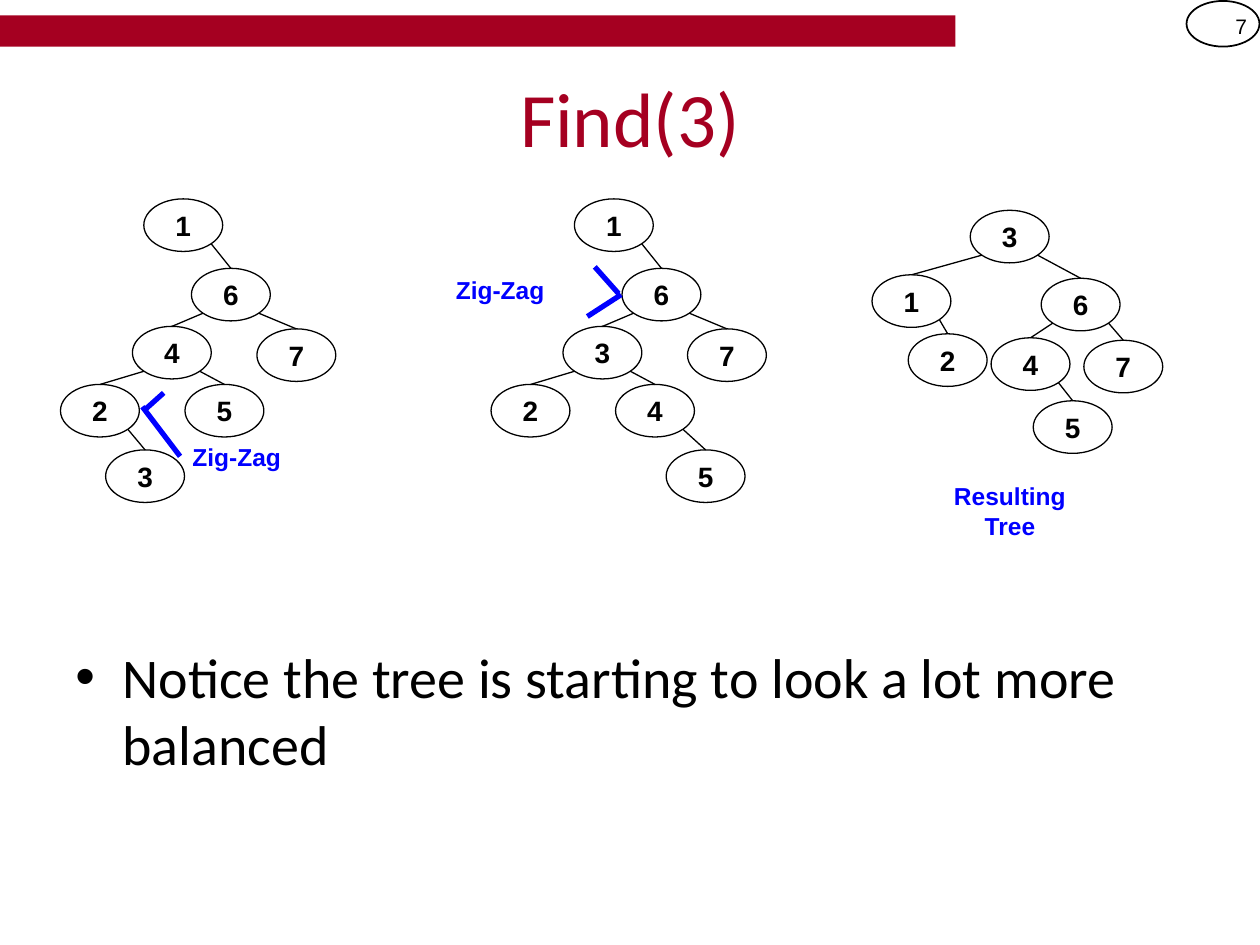
from dataclasses import dataclass
from math import sqrt

from lxml.etree import SubElement
from pptx import Presentation
from pptx.dml.color import RGBColor
from pptx.enum.shapes import MSO_CONNECTOR as Connector, MSO_SHAPE as Shape
from pptx.enum.text import MSO_ANCHOR as Anchor, PP_ALIGN as Align
from pptx.oxml.ns import qn
from pptx.util import Cm, Pt


@dataclass(frozen=True)
class Theme:
    """Colours, fonts and sizes in points."""
    red: RGBColor = RGBColor(0xA5, 0x00, 0x21)
    blue: RGBColor = RGBColor(0x00, 0x00, 0xFF)
    black: RGBColor = RGBColor(0x00, 0x00, 0x00)
    heading_font: str = "Calibri"
    diagram_font: str = "Arial"
    title: float = 44
    body: float = 32
    node: float = 16
    label: float = 14
    number: float = 12
    thin: float = 0.75
    outline: float = 1
    thick: float = 3


THEME = Theme()
NODE_WIDTH, NODE_HEIGHT = 1.59, 1.06

# Each tree: left offset in cm, node positions, and parent-child pairs.
TREES = [
    (0, {"1": (2.9, 4.01), "6": (3.86, 5.41), "4": (2.67, 6.58),
         "7": (5.18, 6.63), "2": (1.22, 7.75), "5": (3.73, 7.75),
         "3": (2.13, 9.07)},
     ["16", "64", "67", "42", "45", "23"]),
    (8.68, {"1": (2.9, 4.01), "6": (3.86, 5.41), "3": (2.67, 6.58),
            "7": (5.18, 6.63), "2": (1.22, 7.75), "4": (3.73, 7.75),
            "5": (4.75, 9.07)},
     ["16", "63", "67", "32", "34", "45"]),
    (17.58, {"3": (1.98, 4.24), "1": (0, 5.54), "6": (3.41, 5.61),
             "2": (0.73, 6.73), "4": (2.4, 6.81), "7": (4.27, 6.86),
             "5": (3.25, 8.08)},
     ["31", "36", "12", "64", "67", "45"]),
]

# Points of the zig-zag strokes in cm.
ZIG_ZAGS = [
    ((2.87, 8.2), (3.63, 9.2)), ((3.3, 7.92), (2.92, 8.26)),
    ((12.52, 5.94), (11.84, 6.38)), ((11.99, 5.38), (12.47, 5.92)),
]

LABELS = [
    ("Zig-Zag", (3.63, 8.79, 4.29, 0.86), Align.LEFT),
    ("Zig-Zag", (8.94, 5.41, 2.9, 0.86), Align.LEFT),
    ("Resulting Tree", (18.8, 9.58, 3.12, 1.45), Align.CENTER),
]


def set_attributes(target, values):
    """Set every named value on the target object."""
    for name, value in values.items():
        setattr(target, name, value)


def write_text(shape, text, font, align=Align.LEFT, anchor=Anchor.TOP, **frame):
    """Put one formatted paragraph in a shape and return the paragraph."""
    set_attributes(shape.text_frame,
                   {"word_wrap": True, "vertical_anchor": anchor, **frame})
    paragraph = shape.text_frame.paragraphs[0]
    paragraph.alignment = align
    run = paragraph.add_run()
    run.text = text
    color = font.pop("color")
    set_attributes(run.font, font)
    run.font.color.rgb = color
    return paragraph


def font_format(name, size, color=THEME.black, bold=False):
    """Return the format values of a font."""
    return {"name": name, "size": Pt(size), "bold": bold, "color": color}


def add_text(slide, box, text, font, **layout):
    """Add a text box with one paragraph."""
    shape = slide.shapes.add_textbox(*map(Cm, box))
    return write_text(shape, text, font, **layout)


def add_shape(slide, kind, box, fill=None, line_width=None):
    """Add a flat preset shape with an optional fill and black outline."""
    shape = slide.shapes.add_shape(kind, *map(Cm, box))
    shape.shadow.inherit = False
    if fill is None:
        shape.fill.background()
    else:
        shape.fill.solid()
        shape.fill.fore_color.rgb = fill
    if line_width is None:
        shape.line.fill.background()
    else:
        shape.line.color.rgb = THEME.black
        shape.line.width = Pt(line_width)
    return shape


def add_line(slide, start, end, color, width):
    """Add a straight line without a shadow."""
    line = slide.shapes.add_connector(Connector.STRAIGHT, *map(Cm, start + end))
    line.line.color.rgb = color
    line.line.width = Pt(width)
    SubElement(line._element.spPr, qn("a:effectLst"))


def add_bullet(paragraph, indent):
    """Give a paragraph a hanging round bullet."""
    properties = paragraph._p.get_or_add_pPr()
    properties.set("marL", str(Cm(indent)))
    properties.set("indent", str(-Cm(indent)))
    SubElement(properties, qn("a:buFont")).set("typeface", "Arial")
    SubElement(properties, qn("a:buChar")).set("char", "•")


def add_edge(slide, parent, child):
    """Join the lower diagonal of the parent to the top of the child."""
    side = 1 if child[0] > parent[0] else -1
    start = (parent[0] + NODE_WIDTH / 2 * (1 + side / sqrt(2)),
             parent[1] + NODE_HEIGHT / 2 * (1 + 1 / sqrt(2)))
    end = (child[0] + NODE_WIDTH / 2, child[1])
    add_line(slide, start, end, THEME.black, THEME.thin)


def add_tree(slide, offset, nodes, edges):
    """Draw the edges and nodes of one tree."""
    places = {key: (offset + left, top) for key, (left, top) in nodes.items()}
    for parent, child in edges:
        add_edge(slide, places[parent], places[child])
    for key, place in places.items():
        node = add_shape(slide, Shape.OVAL, place + (NODE_WIDTH, NODE_HEIGHT),
                         line_width=THEME.thin)
        write_text(node, key,
                   font_format(THEME.diagram_font, THEME.node, bold=True),
                   align=Align.CENTER, anchor=Anchor.MIDDLE,
                   margin_left=0, margin_right=0)


def add_header(slide):
    """Draw the top bar and the slide number in its oval."""
    add_shape(slide, Shape.RECTANGLE, (0, 0.31, 19.26, 0.63), fill=THEME.red)
    add_shape(slide, Shape.OVAL, (23.92, 0.02, 1.47, 0.92),
              line_width=THEME.outline)
    add_text(slide, (23.92, 0.02, 1.47, 1.02), "7",
             font_format(THEME.diagram_font, THEME.number),
             align=Align.RIGHT, anchor=Anchor.MIDDLE)


def main():
    """Build and save the slide."""
    presentation = Presentation()
    set_attributes(presentation,
                   {"slide_width": Cm(25.4), "slide_height": Cm(19.05)})
    slide = presentation.slides.add_slide(presentation.slide_layouts[6])
    add_header(slide)
    add_text(slide, (1.27, 0.76, 22.86, 3.18), "Find(3)",
             font_format(THEME.heading_font, THEME.title, THEME.red),
             align=Align.CENTER, anchor=Anchor.MIDDLE)
    body = add_text(slide, (1.27, 12.83, 22.86, 4.19),
                    "Notice the tree is starting to look a lot more balanced",
                    font_format(THEME.heading_font, THEME.body))
    body.space_before = Pt(0.2 * THEME.body)
    add_bullet(body, 0.95)
    for tree in TREES:
        add_tree(slide, *tree)
    for start, end in ZIG_ZAGS:
        add_line(slide, start, end, THEME.blue, THEME.thick)
    for text, box, align in LABELS:
        font = font_format(THEME.diagram_font, THEME.label, THEME.blue, True)
        add_text(slide, box, text, font, align=align)
    presentation.save("out.pptx")


main()
